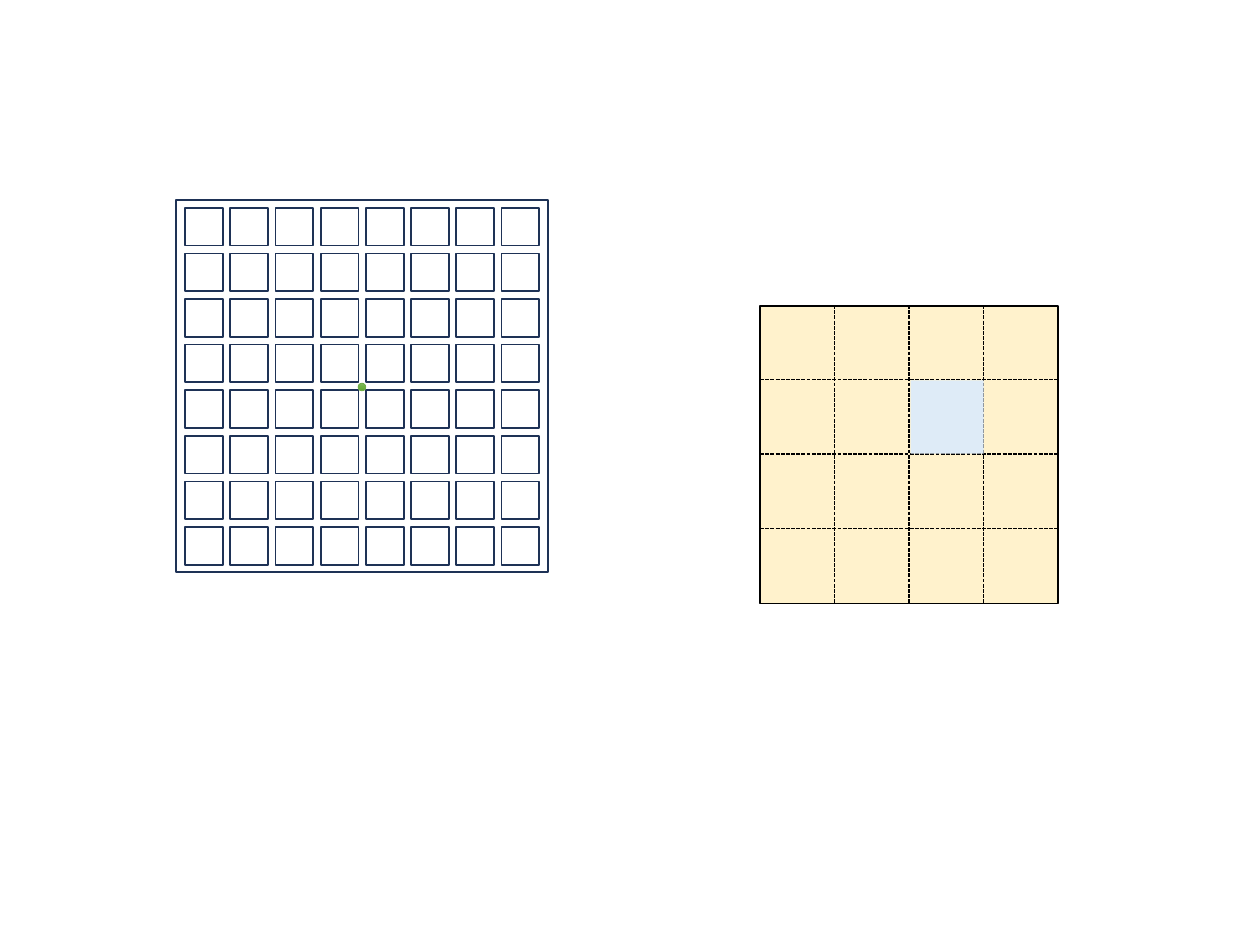
from copy import deepcopy
from dataclasses import dataclass

from lxml import etree
from pptx import Presentation
from pptx.dml.color import RGBColor
from pptx.enum.dml import MSO_LINE
from pptx.enum.shapes import MSO_CONNECTOR, MSO_SHAPE
from pptx.oxml.ns import qn
from pptx.util import Pt

RECT = MSO_SHAPE.RECTANGLE
OVAL = MSO_SHAPE.OVAL
STRAIGHT = MSO_CONNECTOR.STRAIGHT
DASH = MSO_LINE.SQUARE_DOT


@dataclass(frozen=True)
class Theme:
    white: str = "FFFFFF"
    navy: str = "1E3256"
    black: str = "000000"
    cream: str = "FFF2CC"
    sky: str = "DEEBF7"
    green: str = "70AD47"
    shades: tuple = ("81B861", "6FB242", "62A336")
    edge: float = 1
    thin: float = 0.75
    fine: float = 0.5


class Board:
    def __init__(self, slide, theme):
        self.slide = slide
        self.theme = theme
        self.group = None

    def start(self):
        self.group = self.slide.shapes.add_group_shape()

    def shape(self, kind, left, top, wide, high):
        item = self.group.shapes.add_shape(kind, Pt(left), Pt(top), Pt(wide), Pt(high))
        item.shadow.inherit = False
        return item

    def stroke(self, item, color, width):
        item.line.color.rgb = RGBColor.from_string(color)
        item.line.width = Pt(width)

    def box(self, left, top, size, fill, line=None):
        item = self.shape(RECT, left, top, size, size)
        item.fill.solid()
        item.fill.fore_color.rgb = RGBColor.from_string(fill)
        if line:
            self.stroke(item, line, self.theme.edge)
        else:
            item.line.fill.background()

    def dot(self, left, top, size):
        item = self.shape(OVAL, left, top, size, size)
        item.fill.gradient()
        item.fill.gradient_angle = 270
        stops = item._element.spPr.find(".//" + qn("a:gsLst"))
        stops.append(deepcopy(stops[-1]))
        for place, (stop, shade) in enumerate(zip(item.fill.gradient_stops, self.theme.shades)):
            stop.position = place / 2
            stop.color.rgb = RGBColor.from_string(shade)
        self.stroke(item, self.theme.green, self.theme.fine)

    def rule(self, left, top, right, base):
        item = self.group.shapes.add_connector(STRAIGHT, Pt(left), Pt(top), Pt(right), Pt(base))
        self.stroke(item, self.theme.black, self.theme.thin)
        item.line.dash_style = DASH
        etree.SubElement(item._element.spPr, qn("a:effectLst"))

    def tiles(self):
        look = self.theme
        self.start()
        self.box(100.6, 114.5, 212.6, look.white, look.navy)
        for row in range(8):
            for col in range(8):
                self.box(105.7 + col * 25.85, 118.8 + row * 26.05, 21.6, look.white, look.navy)
        self.dot(204.7, 219, 4.3)

    def field(self):
        look = self.theme
        left, top, size, step = 434.4, 174.4, 170, 42.5
        self.start()
        self.box(left, top + 0.5, size, look.cream, look.black)
        for part in range(1, 4):
            down = top + part * step
            self.rule(left, down, left + size, down)
        for part in range(1, 4):
            over = left + part * step
            self.rule(over, top, over, top + size)
        self.box(520.3, 217.4, 41.8, look.sky)


def main():
    deck = Presentation()
    deck.slide_width, deck.slide_height = Pt(720), Pt(540)
    slide = deck.slides.add_slide(deck.slide_layouts[6])
    board = Board(slide, Theme())
    board.tiles()
    board.field()
    deck.save("out.pptx")


if __name__ == "__main__":
    main()
